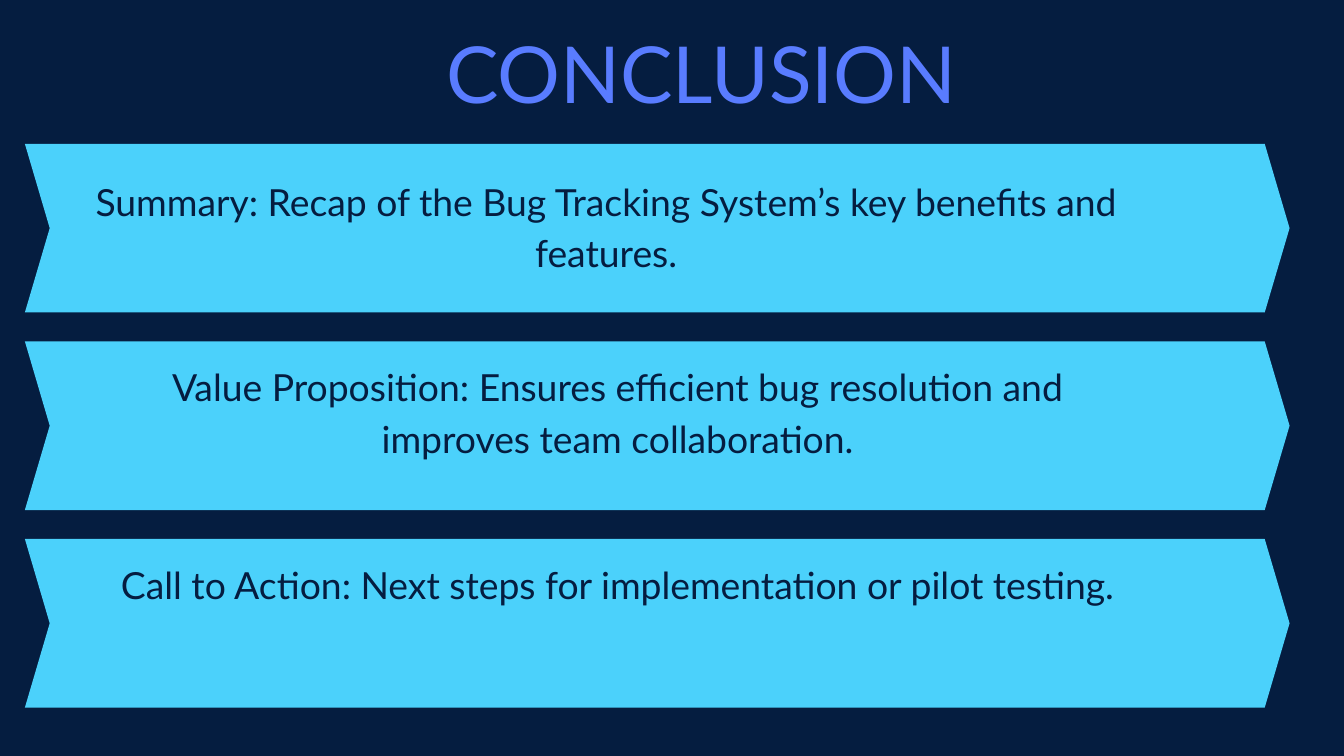
from pptx import Presentation
from pptx.dml.color import RGBColor
from pptx.enum.text import MSO_AUTO_SIZE as AutoSize, PP_ALIGN as Align
from pptx.util import Inches, Pt

NAVY, SKY, VIOLET = "051D40", "4BD1FB", "597CFF"


def color(hex_code):
    return RGBColor.from_string(hex_code)


class SlideWriter:
    """Draws banners and centred text on one slide in a shared style."""

    font = "Lato"

    def __init__(self, slide, background):
        self.slide = slide
        slide.background.fill.solid()
        slide.background.fill.fore_color.rgb = color(background)

    def banner(self, left, top, width, height, notch, fill):
        right, middle, bottom = left + width, top + height / 2, top + height
        outline = [
            (right - notch, top), (right, middle), (right - notch, bottom),
            (left, bottom), (left + notch, middle),
        ]
        builder = self.slide.shapes.build_freeform(Inches(left), Inches(top))
        builder.add_line_segments([(Inches(x), Inches(y)) for x, y in outline])
        arrow = builder.convert_to_shape()
        arrow.shadow.inherit = False
        arrow.fill.solid()
        arrow.fill.fore_color.rgb = color(fill)
        arrow.line.fill.background()

    def text(self, words, left, top, width, height, size, spacing, ink):
        box = self.slide.shapes.add_textbox(
            Inches(left), Inches(top), Inches(width), Inches(height))
        frame = box.text_frame
        frame.word_wrap = True
        frame.auto_size = AutoSize.SHAPE_TO_FIT_TEXT
        frame.margin_left = frame.margin_right = 0
        frame.margin_top = frame.margin_bottom = 0
        paragraph = frame.paragraphs[0]
        paragraph.alignment = Align.CENTER
        paragraph.line_spacing = Pt(spacing)
        run = paragraph.add_run()
        run.text = words
        run.font.name = self.font
        run.font.size = Pt(size)
        run.font.color.rgb = color(ink)


def main():
    deck = Presentation()
    deck.slide_width, deck.slide_height = Inches(20), Inches(11.25)
    writer = SlideWriter(deck.slides.add_slide(deck.slide_layouts[6]), NAVY)

    writer.text("CONCLUSION", 2.3, 0.76, 16.28, 1.13, 84.2, 73.2, VIOLET)

    conclusions = [
        ("Summary: Recap of the Bug Tracking System’s key benefits and features.",
         1.34, 0.42, 2.26),
        ("Value Proposition: Ensures efficient bug resolution and improves team collaboration.",
         1.51, 0.24, 1.5),
        ("Call to Action: Next steps for implementation or pilot testing.",
         1.51, 0.24, 1.5),
    ]
    first_top, pitch = 2.14, 2.94
    for row, (words, left, inset, height) in enumerate(conclusions):
        top = first_top + row * pitch
        writer.banner(0.37, top, 18.82, 2.51, 0.37, SKY)
        writer.text(words, left, top + inset, 15.36, height, 40, 55.2, NAVY)

    deck.save("out.pptx")


if __name__ == "__main__":
    main()
